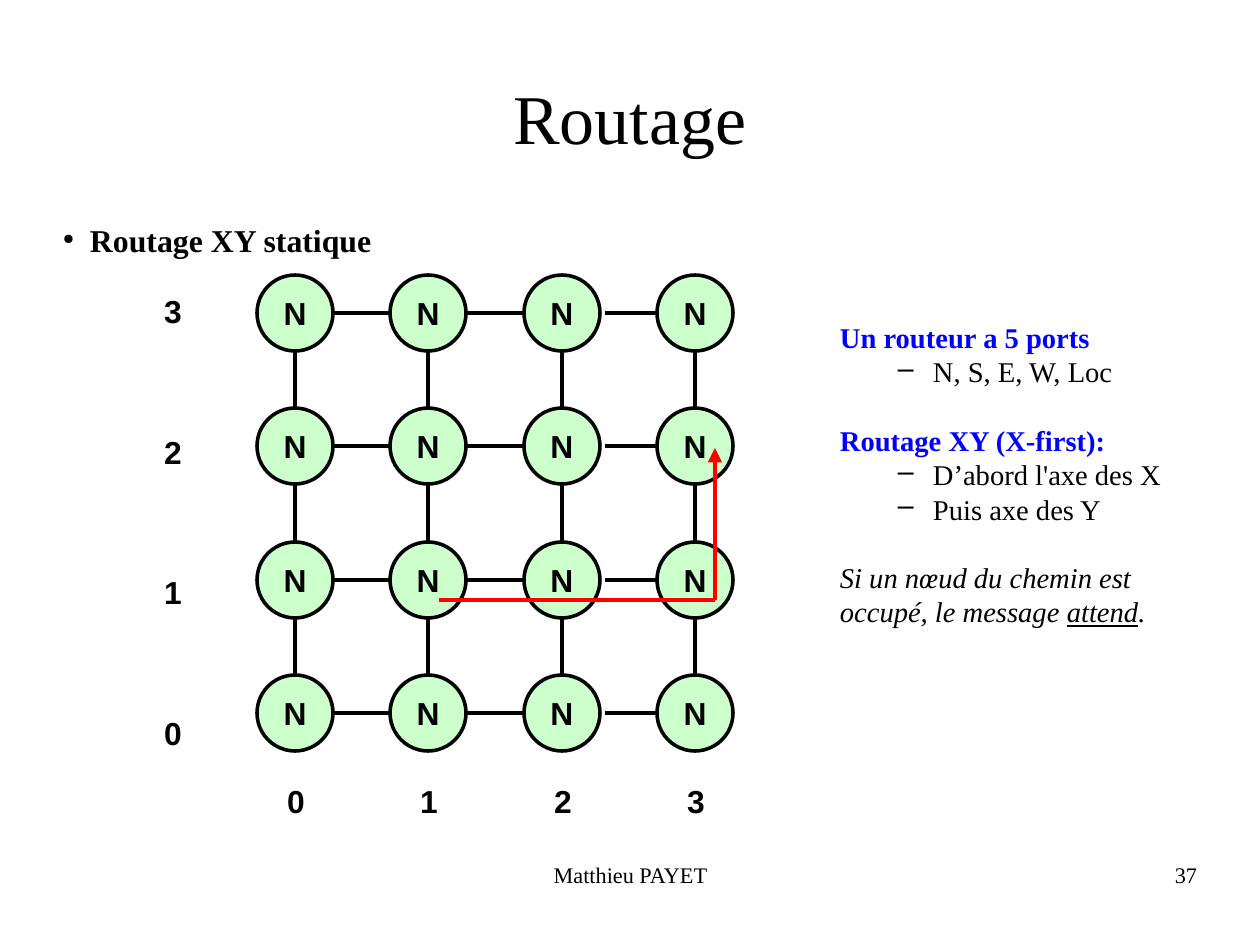
from lxml.etree import SubElement
from pptx import Presentation
from pptx.dml.color import RGBColor
from pptx.enum.shapes import MSO_CONNECTOR, MSO_SHAPE
from pptx.enum.text import MSO_ANCHOR, PP_ALIGN
from pptx.oxml.ns import qn
from pptx.util import Pt

PX = 8000  # EMU per px
SERIF, SANS = "Times New Roman", "Arial"
BLACK, BLUE, RED, GREEN = "000000", "0000FF", "FF0000", "CCFFCC"

TITLE = "Routage"
HEADING = "Routage XY statique"
AUTHOR, PAGE = "Matthieu PAYET", "37"
NODE_TEXT = "N"
ROW_LABELS = ["3", "2", "1", "0"]
COLUMN_LABELS = ["0", "1", "2", "3"]
# (kind, [(text, underlined), ...], blank space above)
NOTES = [
    ("head", [("Un routeur a 5 ports", False)], False),
    ("item", [("N, S, E, W, Loc", False)], False),
    ("head", [("Routage XY (X-first):", False)], True),
    ("item", [("D’abord l'axe des X", False)], False),
    ("item", [("Puis axe des Y", False)], False),
    ("remark", [("Si un nœud du chemin est", False)], True),
    ("remark", [("occupé, le message ", False), ("attend", True), (".", False)], False),
]
NOTE_LINE = Pt(21.6)

COUNT, NODE = 4, 76
GRID_X, GRID_Y = 257, 275
LAST_GAP = 5  # links to the last column start a little after the node
ROUTE = [(439, 600), (715, 600), (715, 448)]

prs = Presentation()
prs.slide_width, prs.slide_height = 1260 * PX, 945 * PX
s = prs.slides.add_slide(prs.slide_layouts[6])


def rgb(color):
    return RGBColor.from_string(color)


def box(*place):
    return [v * PX for v in place]


def step(i):
    """Offset of grid column or row i: three steps span 400 px."""
    return round(400 * i / 3)


def add_run(p, text, size, font=SERIF, color=BLACK, bold=False):
    r = p.add_run()
    r.text = text
    f = r.font
    f.size, f.name, f.bold = Pt(size), font, bold
    f.color.rgb = rgb(color)
    return r


def add_bullet(p, char, left, hang, percent=100):
    pPr = p._p.get_or_add_pPr()
    pPr.set("marL", str(left * PX))
    pPr.set("indent", str(-hang * PX))
    SubElement(SubElement(pPr, qn("a:buClr")), qn("a:srgbClr"), val=BLACK)
    SubElement(pPr, qn("a:buSzPct"), val=str(percent * 1000))
    SubElement(pPr, qn("a:buChar"), char=char)


def add_text_box(*place, pad_x=0, pad_y=0):
    tf = s.shapes.add_textbox(*box(*place)).text_frame
    tf.word_wrap = True
    tf.margin_left = tf.margin_right = pad_x * PX
    tf.margin_top = tf.margin_bottom = pad_y * PX
    return tf


def add_line_of_text(place, text, size, align=PP_ALIGN.CENTER, **style):
    tf = add_text_box(*place)
    p = tf.paragraphs[0]
    p.alignment = align
    add_run(p, text, size, **style)
    return tf


def add_line(start, end, color=BLACK, width=2.25):
    c = s.shapes.add_connector(MSO_CONNECTOR.STRAIGHT, *box(*start, *end))
    c.line.color.rgb = rgb(color)
    c.line.width = Pt(width)
    SubElement(c._element.spPr, qn("a:effectLst"))
    return c


def add_node(x, y):
    sp = s.shapes.add_shape(MSO_SHAPE.OVAL, *box(x, y, NODE, NODE))
    sp.shadow.inherit = False
    sp.fill.solid()
    sp.fill.fore_color.rgb = rgb(GREEN)
    sp.line.color.rgb = rgb(BLACK)
    sp.line.width = Pt(2.25)
    tf = sp.text_frame
    tf.vertical_anchor = MSO_ANCHOR.MIDDLE
    p = tf.paragraphs[0]
    p.alignment = PP_ALIGN.CENTER
    add_run(p, NODE_TEXT, 20, SANS, bold=True)


add_line_of_text((63, 38, 1134, 158), TITLE, 44).vertical_anchor = MSO_ANCHOR.MIDDLE

p = add_text_box(63, 221, 1134, 40).paragraphs[0]
add_run(p, HEADING, 20, bold=True)
add_bullet(p, "●", 27, 27, 45)

for row in range(COUNT):
    for col in range(COUNT):
        x, y = GRID_X + step(col), GRID_Y + step(row)
        mid_x, mid_y = x + NODE // 2, y + NODE // 2
        add_node(x, y)
        if col < COUNT - 1:
            gap = LAST_GAP if col == COUNT - 2 else 0
            add_line((x + NODE + gap, mid_y), (GRID_X + step(col + 1), mid_y))
        if row < COUNT - 1:
            add_line((mid_x, GRID_Y + step(row + 1)), (mid_x, y + NODE))

for i, label in enumerate(ROW_LABELS):
    add_line_of_text((153, 292 + round(422 * i / 3), 40, 40), label, 20, font=SANS, bold=True)
for i, label in enumerate(COLUMN_LABELS):
    add_line_of_text((276 + step(i), 782, 40, 40), label, 20, font=SANS, bold=True)

for start, end in zip(ROUTE, ROUTE[1:]):
    leg = add_line(start, end, RED, 3)
SubElement(leg.line._get_or_add_ln(), qn("a:tailEnd"), type="triangle")

tf = add_text_box(829, 314, 344, 320, pad_x=11, pad_y=6)
for i, (kind, runs, spaced) in enumerate(NOTES):
    p = tf.paragraphs[0] if i == 0 else tf.add_paragraph()
    p.line_spacing = NOTE_LINE
    if spaced:
        p.space_before = NOTE_LINE
    if kind == "item":
        p.level = 1
        add_bullet(p, "–", 93, 35)
    head = kind == "head"
    for text, underlined in runs:
        r = add_run(p, text, 18, color=BLUE if head else BLACK, bold=head)
        r.font.italic = kind == "remark"
        r.font.underline = underlined

add_line_of_text((431, 861, 399, 65), AUTHOR, 14)
add_line_of_text((903, 861, 294, 65), PAGE, 14, PP_ALIGN.RIGHT)

prs.save("out.pptx")
